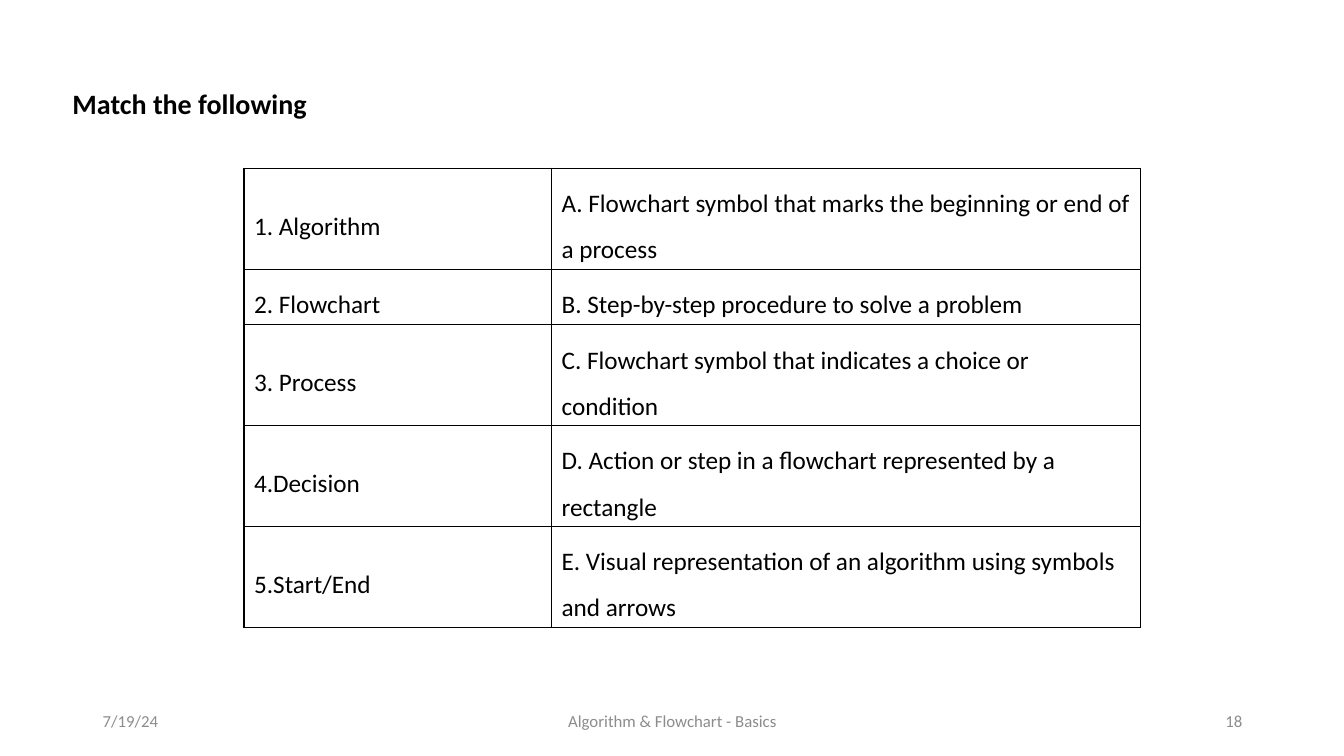
"""Build the matching exercise slide on algorithms and flowcharts."""
from lxml.etree import SubElement
from pptx import Presentation
from pptx.dml.color import RGBColor
from pptx.enum.text import MSO_ANCHOR as Anchor, PP_ALIGN as Align
from pptx.oxml.ns import qn
from pptx.util import Inches, Pt

HEADING = "Match the following"
PAIRS = [
    ("1. Algorithm", "A. Flowchart symbol that marks the beginning or end of a process"),
    ("2. Flowchart", "B. Step-by-step procedure to solve a problem"),
    ("3. Process", "C. Flowchart symbol that indicates a choice or condition"),
    ("4.Decision", "D. Action or step in a flowchart represented by a rectangle"),
    ("5.Start/End", "E. Visual representation of an algorithm using symbols and arrows"),
]
FOOTER = [
    ("7/19/24", 3, Align.LEFT),
    ("Algorithm & Flowchart - Basics", 4.5, Align.CENTER),
    ("18", 3, Align.RIGHT),
]
BLACK, GREY = "000000", "8C8C8C"
WIDTH, HEIGHT = 13.33, 7.5
FOOTER_LEFT, FOOTER_TOP, FOOTER_HEIGHT, FOOTER_GAP = 0.92, 6.95, 0.4, 0.5
TABLE_LEFT, TABLE_TOP, ROW_HEIGHT = 2.42, 1.67, 0.41
COLUMNS = (3.05, 5.84)


def color(value):
    return RGBColor.from_string(value)


def write(frame, text, size=18, ink=BLACK, bold=False, align=Align.LEFT, spacing=None):
    paragraph = frame.paragraphs[0]
    paragraph.alignment = align
    paragraph.line_spacing = spacing
    run = paragraph.add_run()
    run.text = text
    run.font.name = "Calibri"
    run.font.size = Pt(size)
    run.font.bold = bold
    run.font.color.rgb = color(ink)


def add_label(slide, text, box, anchor=Anchor.TOP, wrap=True, **style):
    frame = slide.shapes.add_textbox(*map(Inches, box)).text_frame
    frame.word_wrap = wrap
    frame.vertical_anchor = anchor
    write(frame, text, **style)


def outline(cell, ink=BLACK, points=1):
    properties = cell._tc.get_or_add_tcPr()
    for side in ("lnL", "lnR", "lnT", "lnB"):
        line = SubElement(properties, qn(f"a:{side}"), w=str(Pt(points)))
        fill = SubElement(line, qn("a:solidFill"))
        SubElement(fill, qn("a:srgbClr"), val=ink)


def add_pairs(slide):
    table = slide.shapes.add_table(
        len(PAIRS), len(COLUMNS), Inches(TABLE_LEFT), Inches(TABLE_TOP),
        Inches(sum(COLUMNS)), Inches(ROW_HEIGHT * len(PAIRS))).table
    table.first_row = table.horz_banding = False
    for column, width in zip(table.columns, COLUMNS):
        column.width = Inches(width)
    for row, pair in zip(table.rows, PAIRS):
        row.height = Inches(ROW_HEIGHT)
        for cell, text in zip(row.cells, pair):
            outline(cell)
            cell.fill.background()
            cell.vertical_anchor = Anchor.MIDDLE
            write(cell.text_frame, text, spacing=1.5)


def main():
    deck = Presentation()
    deck.slide_width, deck.slide_height = Inches(WIDTH), Inches(HEIGHT)
    slide = deck.slides.add_slide(deck.slide_layouts[6])
    left = FOOTER_LEFT
    for text, width, align in FOOTER:
        add_label(slide, text, (left, FOOTER_TOP, width, FOOTER_HEIGHT),
                  anchor=Anchor.MIDDLE, size=12, ink=GREY, align=align)
        left += width + FOOTER_GAP
    add_label(slide, HEADING, (0.62, 0.81, 2.54, 0.44), wrap=False, size=20, bold=True)
    add_pairs(slide)
    deck.save("out.pptx")


if __name__ == "__main__":
    main()
